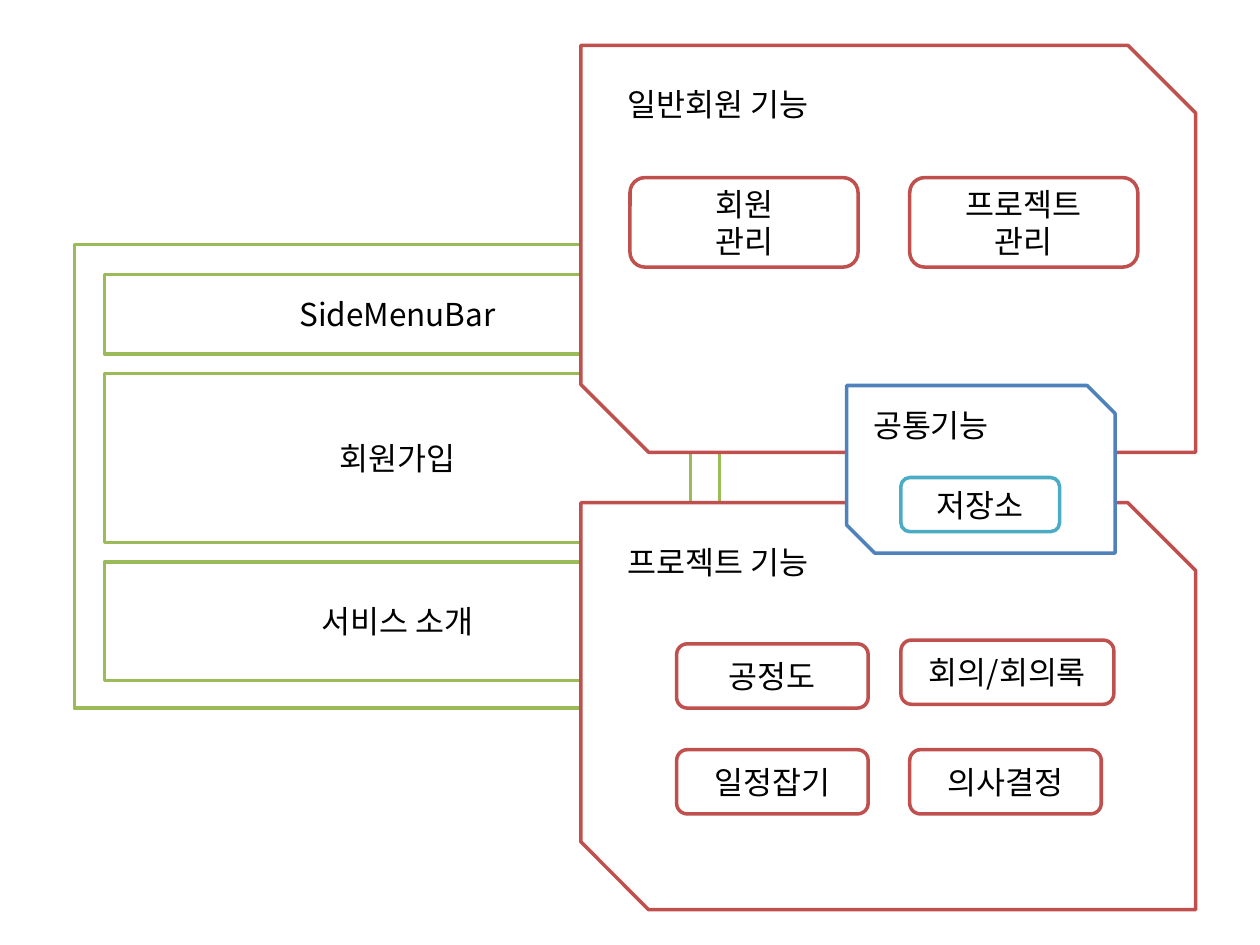
from pptx import Presentation
from pptx.dml.color import RGBColor
from pptx.enum.shapes import MSO_SHAPE
from pptx.enum.text import MSO_ANCHOR, PP_ALIGN
from pptx.oxml.ns import qn
from pptx.util import Inches, Pt

RECT = MSO_SHAPE.RECTANGLE
ROUND = MSO_SHAPE.ROUNDED_RECTANGLE
SNIP = MSO_SHAPE.SNIP_2_DIAG_RECTANGLE
LEFT, CENTER = PP_ALIGN.LEFT, PP_ALIGN.CENTER
TOP, MIDDLE = MSO_ANCHOR.TOP, MSO_ANCHOR.MIDDLE

FONT = "Noto Sans CJK KR"
GREEN, RED, BLUE, TEAL = "9BBB59", "C0504D", "4F81BD", "4BACC6"
WHITE, BLACK = "FFFFFF", "000000"
COLS, ROWS = 100, 75


def color(code):
    return RGBColor.from_string(code)


def write(frame, words, size=18, ink=BLACK, align=CENTER, anchor=MIDDLE):
    frame.word_wrap = True
    frame.vertical_anchor = anchor
    frame.text = words
    for para in frame.paragraphs:
        para.alignment = align
        for run in para.runs:
            font = run.font
            font.name, font.size = FONT, Pt(size)
            font.color.rgb = color(ink)
            # Korean glyphs take the East Asian typeface
            asian = font._element.makeelement(qn("a:ea"), {"typeface": FONT})
            font._element.find(qn("a:latin")).addnext(asian)


class Board:
    """Holds the slide, its grid and the shared outline style."""

    def __init__(self, deck):
        self.slide = deck.slides.add_slide(deck.slide_layouts[6])
        self.cell_w = deck.slide_width / COLS
        self.cell_h = deck.slide_height / ROWS
        self.weight = Pt(2)

    def shape(self, kind, col, row, wide, high, edge, words="", **style):
        item = self.slide.shapes.add_shape(
            kind, round(col * self.cell_w), round(row * self.cell_h),
            round(wide * self.cell_w), round(high * self.cell_h))
        item.shadow.inherit = False
        item.fill.solid()
        item.fill.fore_color.rgb = color(WHITE)
        item.line.color.rgb = color(edge)
        item.line.width = self.weight
        if words:
            write(item.text_frame, words, **style)

    def block(self, *place, words=""):
        self.shape(RECT, *place, GREEN, words)

    def panel(self, *place, words, edge=RED):
        self.shape(SNIP, *place, edge, words, align=LEFT, anchor=TOP)

    def pill(self, *place, words, edge=RED, **style):
        self.shape(ROUND, *place, edge, words, **style)


def main():
    deck = Presentation()
    deck.slide_width, deck.slide_height = Inches(10), Inches(7.5)
    board = Board(deck)

    # Landing page with its stacked sections
    board.block(5.9, 19.4, 51.2, 36.8)
    row, gap = 21.8, 1.55
    for words, high in (("SideMenuBar", 6.3), ("회원가입", 13.4),
                        ("서비스 소개", 9.4)):
        board.block(8.3, row, 46.5, high, words=words)
        row += high + gap

    # Member and project panels
    for row, words in ((3.6, "일반회원 기능"), (39.9, "프로젝트 기능")):
        board.panel(46.1, row, 48.8, 32.3, words=words)

    # Member features
    for col, words in ((50, "회원\n관리"), (72.2, "프로젝트\n관리")):
        board.pill(col, 14.1, 18.1, 7.1, words=words)

    # Shared features, bridging both panels
    board.panel(67.2, 30.6, 21.3, 13.3, words="공통기능", edge=BLUE)
    board.pill(71.5, 37.9, 12.6, 4.3, words="저장소", edge=TEAL, anchor=TOP)

    # Project features
    for col, row, wide, words in (
            (53.7, 51.1, 15.2, "공정도"), (71.5, 50.8, 16.9, "회의/회의록"),
            (53.7, 59.5, 15.2, "일정잡기"), (72.2, 59.5, 15.2, "의사결정")):
        board.pill(col, row, wide, 5.1, words=words)

    deck.save("out.pptx")


if __name__ == "__main__":
    main()
